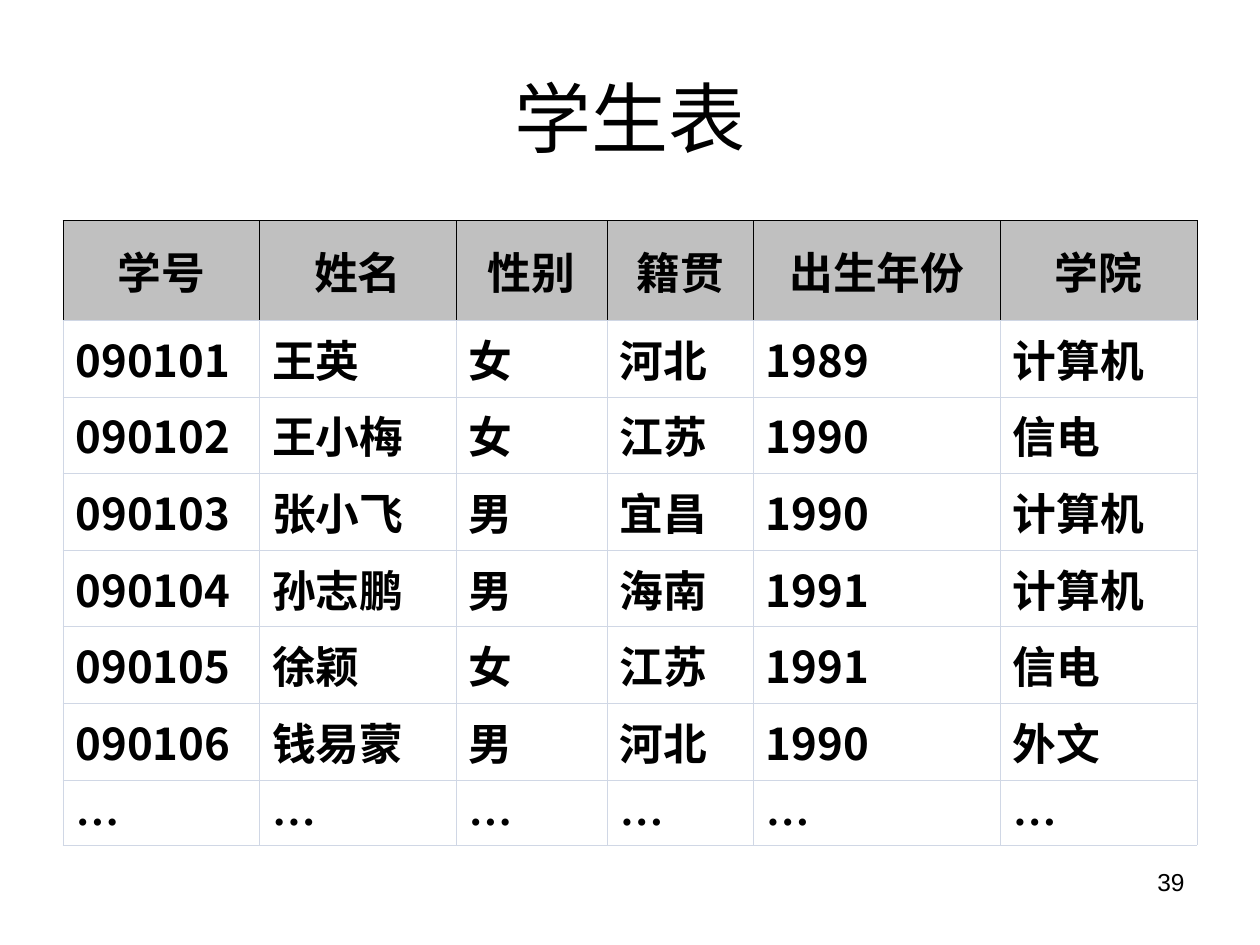
from lxml.etree import SubElement
from pptx import Presentation
from pptx.dml.color import RGBColor
from pptx.enum.text import MSO_ANCHOR as ANCHOR, PP_ALIGN as ALIGN
from pptx.oxml.ns import qn
from pptx.util import Pt

BLACK = RGBColor(0x00, 0x00, 0x00)
WHITE = RGBColor(0xFF, 0xFF, 0xFF)
GRAY = RGBColor(0xC0, 0xC0, 0xC0)
PALE = RGBColor(0xD0, 0xD7, 0xE5)
SANS, CJK, SERIF = "Arial", "Noto Sans CJK SC", "Times New Roman"

TITLE = "学生表"
PAGE = "39"
HEADER = ("学号", "姓名", "性别", "籍贯", "出生年份", "学院")
STUDENTS = [
    ("090101", "王英", "女", "河北", "1989", "计算机"),
    ("090102", "王小梅", "女", "江苏", "1990", "信电"),
    ("090103", "张小飞", "男", "宜昌", "1990", "计算机"),
    ("090104", "孙志鹏", "男", "海南", "1991", "计算机"),
    ("090105", "徐颖", "女", "江苏", "1991", "信电"),
    ("090106", "钱易蒙", "男", "河北", "1990", "外文"),
]
MORE = ("…",) * len(HEADER)
COL_WIDTHS = (112.3, 112.3, 86.4, 83.5, 141.2, 112.3)
ROW_HEIGHTS = [57] + [43.8] * len(STUDENTS) + [37.2]


def write(tf, text, font, size, align, bold=False):
    p = tf.paragraphs[0]
    p.text = text
    p.alignment = align
    f = p.font
    f.name, f.size, f.bold = font, Pt(size), bold
    f.color.rgb = BLACK
    return p


def set_borders(cell, sides):
    tc_pr = cell._tc.get_or_add_tcPr()
    for side, color in sides.items():
        ln = SubElement(tc_pr, qn(f"a:ln{side}"), w=str(Pt(0.45)))
        fill = SubElement(ln, qn("a:solidFill"))
        SubElement(fill, qn("a:srgbClr"), val=str(color))


prs = Presentation()
prs.slide_width, prs.slide_height = Pt(720), Pt(540)
s = prs.slides.add_slide(prs.slide_layouts[5])

title = s.shapes.title
title.left, title.top, title.width, title.height = Pt(36), Pt(21.6), Pt(648), Pt(90)
title.text_frame.vertical_anchor = ANCHOR.MIDDLE
write(title.text_frame, TITLE, SANS, 44, ALIGN.CENTER)

rows = [HEADER, *STUDENTS, MORE]
table = s.shapes.add_table(len(rows), len(HEADER), Pt(36), Pt(126),
                           Pt(sum(COL_WIDTHS)), Pt(sum(ROW_HEIGHTS))).table
table.first_row = table.horz_banding = False
for col, width in zip(table.columns, COL_WIDTHS):
    col.width = Pt(width)
for row, height in zip(table.rows, ROW_HEIGHTS):
    row.height = Pt(height)

for i, values in enumerate(rows):
    is_header = values is HEADER
    font = SERIF if values in (HEADER, MORE) else CJK
    edge = BLACK if is_header else PALE
    for j, value in enumerate(values):
        cell = table.cell(i, j)
        set_borders(cell, {"L": edge, "R": edge, "T": edge if i != 1 else PALE, "B": PALE})
        cell.fill.solid()
        cell.fill.fore_color.rgb = GRAY if is_header else WHITE
        cell.vertical_anchor = ANCHOR.MIDDLE if is_header else ANCHOR.TOP
        p = write(cell.text_frame, value, font, 25,
                  ALIGN.CENTER if is_header else ALIGN.LEFT, bold=True)
        if font == CJK:
            SubElement(p._p.pPr.find(qn("a:defRPr")), qn("a:ea"), typeface=CJK)

number = s.shapes.add_textbox(Pt(516), Pt(492), Pt(168), Pt(37.5))
number.text_frame.word_wrap = True
write(number.text_frame, PAGE, SANS, 14, ALIGN.RIGHT)

prs.save("out.pptx")
